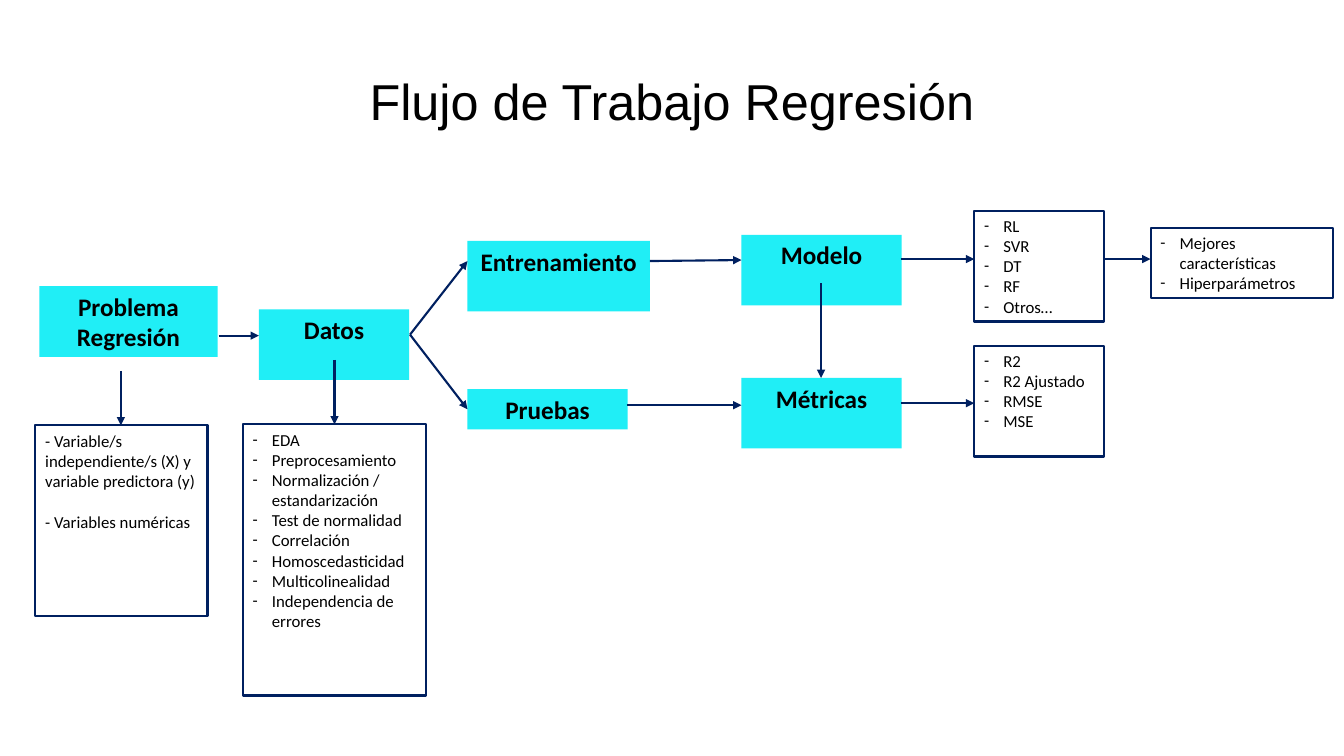
"""Build the regression workflow slide."""
from lxml import etree
from pptx import Presentation, util as u
from pptx.dml.color import RGBColor
from pptx.enum import shapes, text
from pptx.oxml.ns import qn

PX = 9144
HUES = {"ink": "000000", "step": "20EEF6", "line": "002060"}


def write(shape, lines, size, font, bold=False, align=text.PP_ALIGN.CENTER):
    frame = shape.text_frame
    frame.word_wrap = True
    frame.vertical_anchor = text.MSO_ANCHOR.TOP
    frame.text = "\n".join(lines)
    for para in frame.paragraphs:
        para.alignment = align
        for run in para.runs:
            run.font.size = u.Pt(size)
            run.font.name = font
            run.font.bold = bold
            run.font.color.rgb = RGBColor.from_string(HUES["ink"])
    return frame


def box(spot):
    shape = slide.shapes.add_shape(
        shapes.MSO_SHAPE.RECTANGLE, *[n * PX for n in spot])
    shape.shadow.inherit = False
    return shape


deck = Presentation()
deck.slide_width, deck.slide_height = 1334 * PX, 750 * PX
slide = deck.slides.add_slide(deck.slide_layouts[6])

title = slide.shapes.add_textbox(*[n * PX for n in (241, 65, 852, 70)])
write(title, ["Flujo de Trabajo Regresión"], 36, "Arial")

steps = [
    ("Problema Regresión", (39, 284, 177, 70)),
    ("Datos", (257, 307, 149, 70)),
    ("Entrenamiento", (464, 239, 181, 70)),
    ("Pruebas", (464, 386, 159, 40)),
    ("Modelo", (736, 233, 159, 70)),
    ("Métricas", (736, 375, 159, 70)),
]
for name, spot in steps:
    step = box(spot)
    step.fill.solid()
    step.fill.fore_color.rgb = RGBColor.from_string(HUES["step"])
    step.line.fill.background()
    write(step, [name], 18, "Calibri", True)

notes = [
    ((35, 422, 171, 189), False, [
        "- Variable/s independiente/s (X) y variable predictora (y)",
        "- Variables numéricas"]),
    ((241, 421, 182, 269), True, [
        "EDA", "Preprocesamiento", "Normalización / estandarización",
        "Test de normalidad", "Correlación", "Homoscedasticidad",
        "Multicolinealidad", "Independencia de errores"]),
    ((967, 209, 129, 110), True, ["RL", "SVR", "DT", "RF", "Otros…"]),
    ((967, 343, 129, 110), True, ["R2", "R2 Ajustado", "RMSE", "MSE"]),
    ((1142, 226, 181, 70), True, [
        "Mejores características", "Hiperparámetros"]),
]
for spot, listed, lines in notes:
    note = box(spot)
    note.fill.background()
    note.line.color.rgb = RGBColor.from_string(HUES["line"])
    note.line.width = u.Pt(1.5)
    frame = write(note, lines, 12, "Calibri", align=text.PP_ALIGN.LEFT)
    if not listed:
        frame.paragraphs[1].space_before = u.Pt(15)
        continue
    for para in frame.paragraphs:
        props = para._p.get_or_add_pPr()
        props.set("marL", str(19 * PX))
        props.set("indent", str(-19 * PX))
        tint = etree.SubElement(props, qn("a:buClr"))
        etree.SubElement(tint, qn("a:srgbClr"), val=HUES["ink"])
        etree.SubElement(props, qn("a:buFont"), typeface="Calibri")
        etree.SubElement(props, qn("a:buChar"), char="-")

arrows = [
    (120, 368, 120, 422),
    (217, 333, 257, 333),
    (332, 357, 332, 421),
    (407, 332, 464, 259),
    (407, 332, 464, 406),
    (645, 259, 736, 258),
    (622, 402, 736, 402),
    (894, 257, 967, 257),
    (894, 400, 967, 400),
    (1096, 257, 1142, 257),
    (815, 281, 815, 375),
]
for ends in arrows:
    arrow = slide.shapes.add_connector(
        shapes.MSO_CONNECTOR.STRAIGHT, *[n * PX for n in ends])
    arrow.line.color.rgb = RGBColor.from_string(HUES["line"])
    arrow.line.width = u.Pt(1.5)
    etree.SubElement(arrow.line._get_or_add_ln(), qn("a:tailEnd"), type="triangle")
    etree.SubElement(arrow._element.spPr, qn("a:effectLst"))

deck.save("out.pptx")
